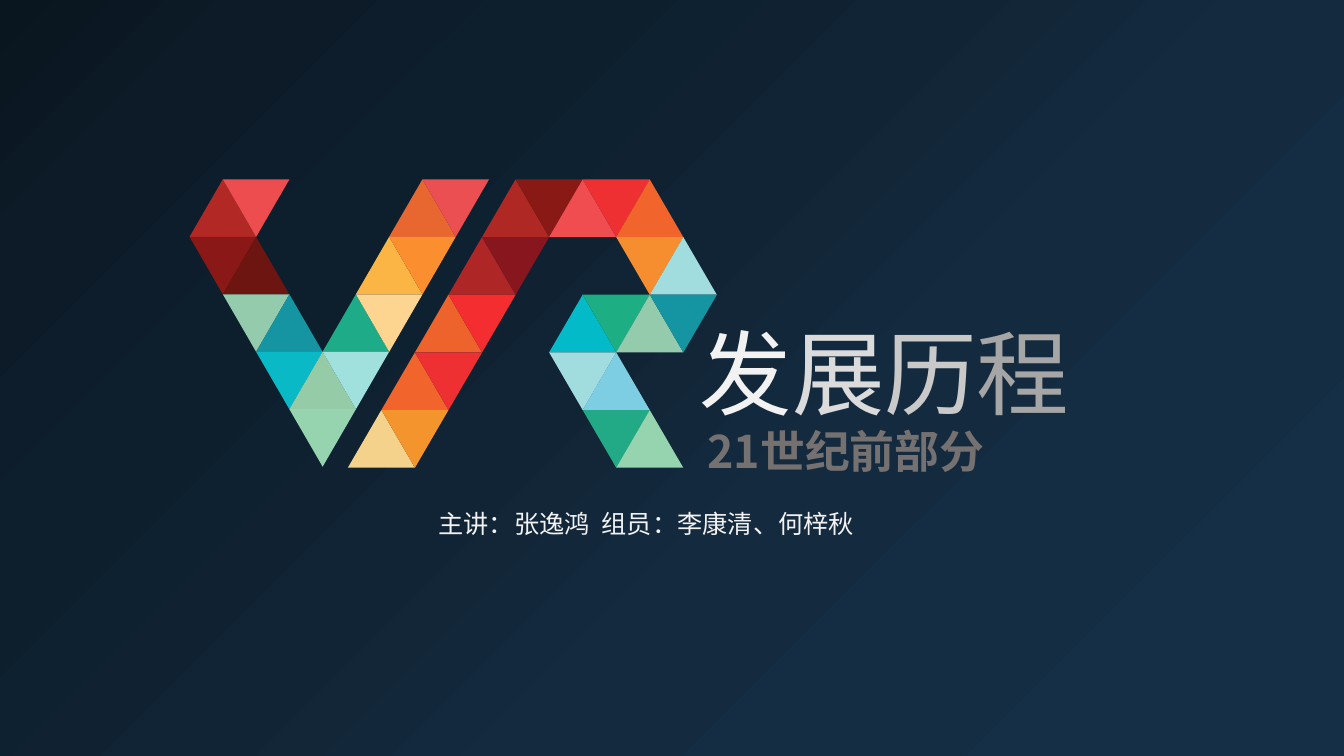
from dataclasses import dataclass

from pptx import Presentation
from pptx.dml.color import RGBColor
from pptx.enum.shapes import MSO_SHAPE
from pptx.enum.text import MSO_ANCHOR, MSO_AUTO_SIZE, PP_ALIGN
from pptx.oxml import parse_xml
from pptx.oxml.ns import nsdecls
from pptx.util import Inches, Pt

TRIANGLE = MSO_SHAPE.ISOSCELES_TRIANGLE
MIDDLE = MSO_ANCHOR.MIDDLE
NO_FIT = MSO_AUTO_SIZE.NONE
LEFT, CENTER = PP_ALIGN.LEFT, PP_ALIGN.CENTER
TITLE_ONLY = 5


@dataclass(frozen=True)
class Theme:
    font: str = "Noto Sans CJK SC"
    title: int = 66
    era: int = 32
    names: int = 18
    light: str = "F2F2F2"
    gray: str = "767171"
    fade: tuple = ("F2F2F2", "DBDBDB", "C9C9C9", "A6A6A6")
    back: tuple = ((0, "163047"), (12, "152F46"), (24, "142D43"),
                   (39, "142A3F"), (55, "112435"), (72, "0D1F2D"),
                   (87, "0D1B28"), (100, "09161F"))


@dataclass(frozen=True)
class Box:
    left: float
    top: float
    width: float
    height: float

    def emu(self):
        return [Inches(n) for n in
                (self.left, self.top, self.width, self.height)]


THEME = Theme()

# Each row of a letter maps a starting half-column to a run of colours.
LETTER_V = (
    {0: "B12824 EE4D50", 6: "E86731 EB4F51"},
    {0: "8A1817 6D1510", 5: "FAB545 FB8F30"},
    {1: "93CBAC 1595A1", 4: "1DAC87 FED491"},
    {2: "0AB9C6 95CBA7 A0E0DD"},
    {3: "96D3AF"},
)
LETTER_R = (
    {4: "AF2823 881914 F04D50 EE3032 F1642B"},
    {3: "AF2627 88161E", 8: "F68D2F A1DCDF"},
    {2: "EE622B F32D30", 6: "03BBC8 1DAE84 93CBAC 1595A1"},
    {1: "F1642B EE3032", 6: "A1DCDF 7DCEE2"},
    {0: "F4D28C F4942D", 7: "21AA85 96D3AF"},
)


def paint_back(slide):
    stops = "".join(
        f'<a:gs pos="{pos * 1000}"><a:srgbClr val="{color}"/></a:gs>'
        for pos, color in THEME.back)
    slide.element.cSld.insert(0, parse_xml(
        f'<p:bg {nsdecls("p", "a")}><p:bgPr><a:gradFill rotWithShape="1">'
        f'<a:gsLst>{stops}</a:gsLst><a:path path="circle">'
        '<a:fillToRect l="100000" t="100000"/></a:path>'
        '<a:tileRect r="-100000" b="-100000"/></a:gradFill>'
        '<a:effectLst/></p:bgPr></p:bg>'))


def draw_letter(slide, box, rows, cols):
    """Tile a letter with triangles that span two half-columns each."""
    group = slide.shapes.add_group_shape()
    step, high = box.width / cols, box.height / len(rows)
    for row, runs in enumerate(rows):
        for start, colors in runs.items():
            for col, color in enumerate(colors.split(), start):
                cell = Box(box.left + col * step, box.top + row * high,
                           2 * step, high)
                tile = group.shapes.add_shape(TRIANGLE, *cell.emu())
                tile.shadow.inherit = False
                tile.rotation = 180 * ((row + col) % 2)
                tile.fill.solid()
                tile.fill.fore_color.rgb = RGBColor.from_string(color)
                tile.line.fill.background()


def write(shape, box, runs, size, align=LEFT, bold=False, wrap=True, tab=None):
    """Fill a shape with one line of (text, colour) runs."""
    shape.left, shape.top, shape.width, shape.height = box.emu()
    frame = shape.text_frame
    frame.auto_size = NO_FIT
    frame.word_wrap = wrap
    frame.vertical_anchor = MIDDLE
    line = frame.paragraphs[0]
    line.alignment = align
    if tab:
        line._p.get_or_add_pPr().append(parse_xml(
            f'<a:tabLst {nsdecls("a")}>'
            f'<a:tab pos="{Inches(tab)}" algn="l"/></a:tabLst>'))
    for text, color in runs:
        run = line.add_run()
        run.text = text
        font = run.font
        font.size, font.bold, font.name = Pt(size), bold, THEME.font
        font.color.rgb = RGBColor.from_string(color)
        run._r.rPr.append(parse_xml(
            f'<a:ea {nsdecls("a")} typeface="{THEME.font}"/>'))


def add_text(slide, box, *args, **style):
    write(slide.shapes.add_textbox(*box.emu()), box, *args, **style)


def build_cover(slide, box):
    paint_back(slide)
    draw_letter(slide, Box(box.left + 1.88, box.top + 1.78, 2.97, 2.85),
                LETTER_V, 9)
    draw_letter(slide, Box(box.left + 3.45, box.top + 1.78, 3.66, 2.86),
                LETTER_R, 11)
    write(slide.shapes.title, Box(box.left + 6.84, box.top + 3.08, 4.27, 1.21),
          zip("发展历程", THEME.fade), THEME.title)
    add_text(slide, Box(box.left + 6.84, box.top + 4.15, 3.1, 0.64),
             [("21世纪前部分", THEME.gray)], THEME.era,
             align=CENTER, bold=True)
    add_text(slide, Box(box.left + 4.25, box.top + 4.99, 4.38, 0.4),
             [("主讲：张逸鸿\t", THEME.light),
              ("组员：李康清、何梓秋", THEME.light)],
             THEME.names, tab=1.62)


def main():
    deck = Presentation()
    deck.slide_width, deck.slide_height = Inches(13.33), Inches(7.5)
    slide = deck.slides.add_slide(deck.slide_layouts[TITLE_ONLY])
    build_cover(slide, Box(0, 0, 13.33, 7.5))
    deck.save("out.pptx")


if __name__ == "__main__":
    main()
